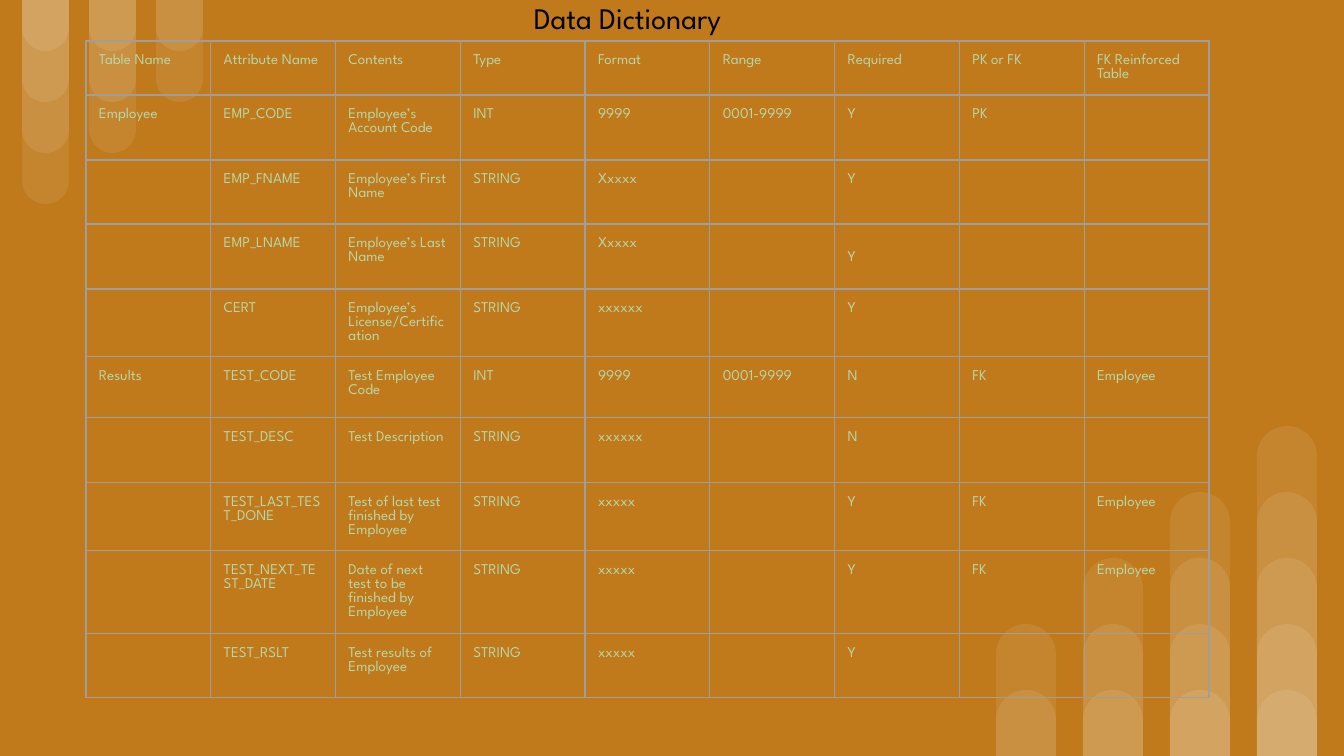
"""Build the Data Dictionary slide with its table and translucent corner bars."""
from dataclasses import dataclass

from lxml import etree
from pptx import Presentation
from pptx.dml.color import RGBColor
from pptx.enum.shapes import MSO_SHAPE
from pptx.enum.text import MSO_ANCHOR, MSO_AUTO_SIZE, PP_ALIGN
from pptx.oxml.ns import qn
from pptx.util import Emu, Pt

BAR_SHAPE = MSO_SHAPE.ROUND_2_SAME_RECTANGLE
TOP = MSO_ANCHOR.TOP
CENTER = PP_ALIGN.CENTER
NO_AUTOFIT = MSO_AUTO_SIZE.NONE
EMU_PER_PIXEL = 914400 / 134.4
SLIDE_WIDTH, SLIDE_HEIGHT = 1344, 756
MARGIN = 13
LINE_HEIGHT = 14
FONT = "League Spartan"
BACKGROUND, BAR, BORDER = "C0791B", "FFFFFF", "9E9E9E"
TITLE_TEXT, TABLE_TEXT = "000000", "B6D7A8"
BAR_ALPHA = 9000
BORDER_WIDTH = Pt(0.75)


@dataclass(frozen=True)
class BarGroup:
    left: int
    pitch: int
    width: int
    step: int
    levels: tuple[int, ...]
    hanging: bool


BAR_GROUPS = (
    BarGroup(22, 67, 47, 51, (4, 3, 2), True),
    BarGroup(996, 87, 60, 66, (2, 3, 4, 5), False),
)
ROWS = (
    (54, ("Table Name", "Attribute Name", "Contents", "Type", "Format", "Range",
          "Required", "PK or FK", "FK Reinforced Table")),
    (65, ("Employee", "EMP_CODE", "Employee’s Account Code", "INT", "9999",
          "0001-9999", "Y", "PK", "")),
    (64, ("", "EMP_FNAME", "Employee’s First Name", "STRING", "Xxxxx", "", "Y", "", "")),
    (65, ("", "EMP_LNAME", "Employee’s Last Name", "STRING", "Xxxxx", "", "Y", "", "")),
    (68, ("", "CERT", "Employee’s License/Certification", "STRING", "xxxxxx", "",
          "Y", "", "")),
    (61, ("Results", "TEST_CODE", "Test Employee Code", "INT", "9999",
          "0001-9999", "N", "FK", "Employee")),
    (65, ("", "TEST_DESC", "Test Description", "STRING", "xxxxxx", "", "N", "", "")),
    (68, ("", "TEST_LAST_TEST_DONE", "Test of last test finished by Employee",
          "STRING", "xxxxx", "", "Y", "FK", "Employee")),
    (83, ("", "TEST_NEXT_TEST_DATE", "Date of next test to be finished by Employee",
          "STRING", "xxxxx", "", "Y", "FK", "Employee")),
    (64, ("", "TEST_RSLT", "Test results of Employee", "STRING", "xxxxx", "",
          "Y", "", "")),
)
LOWERED_CELL = (3, 6)


def px(length: int) -> Emu:
    return Emu(round(length * EMU_PER_PIXEL))


def color(value: str) -> RGBColor:
    return RGBColor.from_string(value)


def set_margins(target) -> None:
    target.margin_left = target.margin_right = px(MARGIN)
    target.margin_top = target.margin_bottom = px(MARGIN)


def set_font(paragraph, size: int, font_color: str) -> None:
    paragraph.font.name = FONT
    paragraph.font.size = Pt(size)
    paragraph.font.color.rgb = color(font_color)


def draw_bars(slide, group: BarGroup) -> None:
    for column, levels in enumerate(group.levels):
        left = group.left + column * group.pitch
        for level in range(levels, 0, -1):
            height = level * group.step
            top = 0 if group.hanging else SLIDE_HEIGHT - height
            bar = slide.shapes.add_shape(
                BAR_SHAPE, px(left), px(top), px(group.width), px(height))
            bar.adjustments[0] = 0.5
            bar.adjustments[1] = 0
            bar.rotation = 180 if group.hanging else 0
            bar.shadow.inherit = False
            bar.line.fill.background()
            bar.fill.solid()
            bar.fill.fore_color.rgb = color(BAR)
            fill_color = bar.fill._xPr.find(qn("a:solidFill"))[0]
            etree.SubElement(fill_color, qn("a:alpha"), val=str(BAR_ALPHA))


def draw_title(slide) -> None:
    title = slide.shapes.title
    title.left, title.top, title.width, title.height = px(335), px(-13), px(585), px(102)
    frame = title.text_frame
    frame.text = "Data Dictionary"
    frame.word_wrap = True
    frame.auto_size = NO_AUTOFIT
    frame.vertical_anchor = TOP
    set_margins(frame)
    paragraph = frame.paragraphs[0]
    paragraph.alignment = CENTER
    set_font(paragraph, 16, TITLE_TEXT)


def set_borders(cell) -> None:
    properties = cell._tc.get_or_add_tcPr()
    for index, side in enumerate(("lnL", "lnR", "lnT", "lnB")):
        line = etree.Element(qn(f"a:{side}"), w=str(BORDER_WIDTH))
        fill = etree.SubElement(line, qn("a:solidFill"))
        etree.SubElement(fill, qn("a:srgbClr"), val=BORDER)
        properties.insert(index, line)


def draw_table(slide) -> None:
    height = sum(row_height for row_height, _ in ROWS)
    table = slide.shapes.add_table(
        len(ROWS), len(ROWS[0][1]), px(86), px(41), px(1123), px(height)).table
    table.first_row = False
    table.horz_banding = False
    for row_index, (row_height, texts) in enumerate(ROWS):
        table.rows[row_index].height = px(row_height)
        for column_index, text in enumerate(texts):
            cell = table.cell(row_index, column_index)
            cell.text = text
            cell.fill.background()
            set_margins(cell)
            if (row_index, column_index) == LOWERED_CELL:
                cell.margin_top = px(MARGIN + LINE_HEIGHT)
            set_borders(cell)
            set_font(cell.text_frame.paragraphs[0], 8, TABLE_TEXT)


def main() -> None:
    presentation = Presentation()
    presentation.slide_width = px(SLIDE_WIDTH)
    presentation.slide_height = px(SLIDE_HEIGHT)
    slide = presentation.slides.add_slide(presentation.slide_layouts.get_by_name("Title Only"))
    slide.background.fill.solid()
    slide.background.fill.fore_color.rgb = color(BACKGROUND)
    for group in BAR_GROUPS:
        draw_bars(slide, group)
    draw_title(slide)
    draw_table(slide)
    presentation.save("out.pptx")


main()
